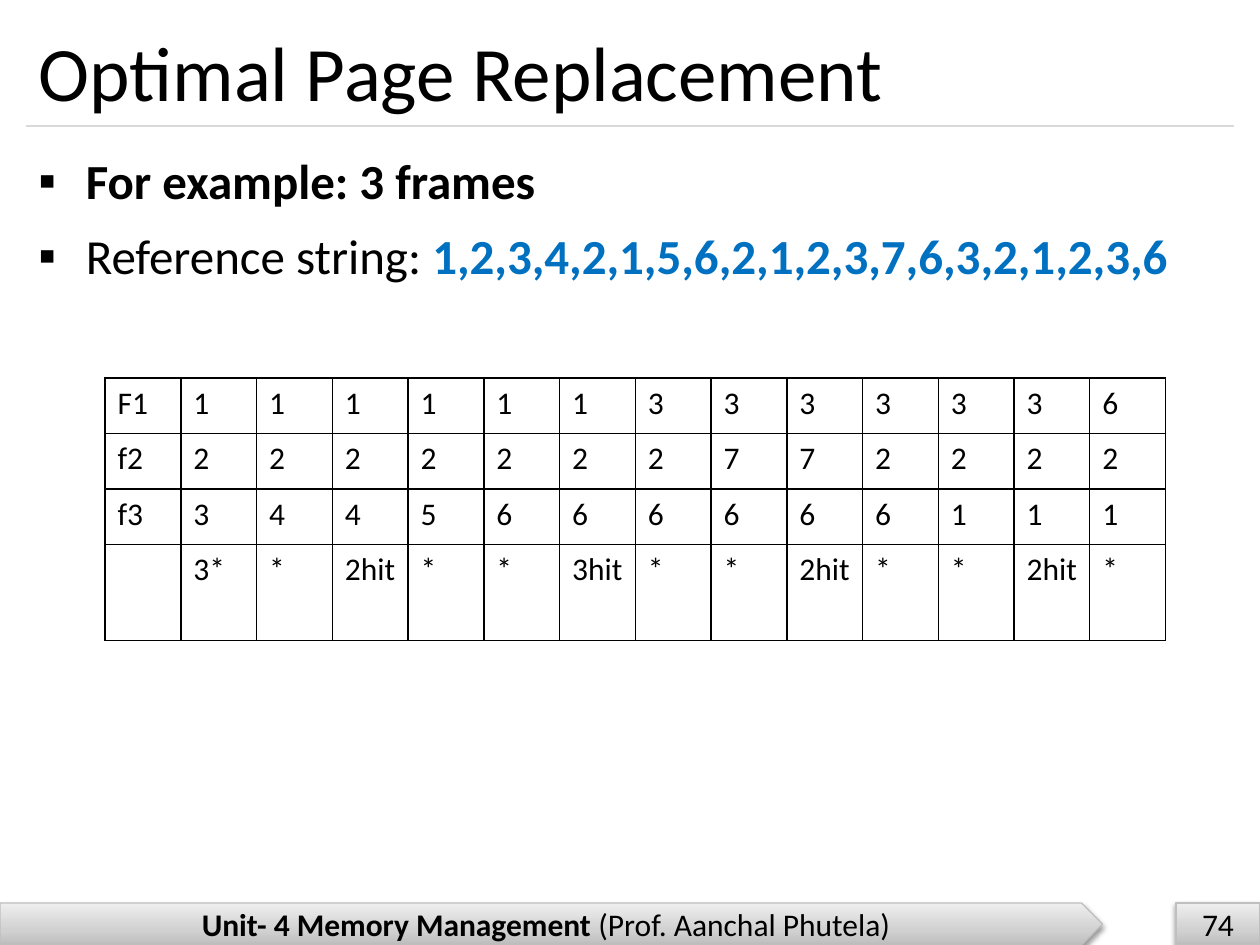
import pptx
import pptx.dml.color
import pptx.enum.shapes
import pptx.enum.text
import pptx.oxml.ns
import pptx.util
from lxml import etree

Pt = pptx.util.Pt
RGBColor = pptx.dml.color.RGBColor
SHAPE = pptx.enum.shapes.MSO_SHAPE
ANCHOR = pptx.enum.text.MSO_ANCHOR
ALIGN = pptx.enum.text.PP_ALIGN

BLACK = RGBColor(0x00, 0x00, 0x00)
BLUE = RGBColor(0x00, 0x70, 0xC0)
RULE_GRAY = RGBColor(0xD9, 0xD9, 0xD9)
EDGE_GRAY = RGBColor(0xBF, 0xBF, 0xBF)
BAR_STOPS = (
    (0, RGBColor(0xBD, 0xBD, 0xBD)),
    (35, RGBColor(0xD1, 0xD1, 0xD1)),
    (100, RGBColor(0xEE, 0xEE, 0xEE)),
)


def add_xml(parent, tag, **attributes):
    """Append a DrawingML element and return it."""
    child = etree.SubElement(parent, pptx.oxml.ns.qn("a:" + tag))
    for key, value in attributes.items():
        child.set(key, str(value))
    return child


class Deck:
    font_name = "Calibri"

    def __init__(self, width, height):
        self.presentation = pptx.Presentation()
        self.presentation.slide_width = Pt(width)
        self.presentation.slide_height = Pt(height)
        blank = self.presentation.slide_layouts[6]
        self.slide = self.presentation.slides.add_slide(blank)

    def add_runs(self, paragraph, runs, size):
        """Fill a paragraph with (text, bold, colour) runs."""
        paragraph.font.name = self.font_name
        paragraph.font.size = Pt(size)
        for text, bold, color in runs:
            run = paragraph.add_run()
            run.text = text
            run.font.bold = bold
            run.font.color.rgb = color

    def text(self, left, top, width, height, anchor=ANCHOR.TOP):
        box = self.slide.shapes.add_textbox(Pt(left), Pt(top), Pt(width), Pt(height))
        box.text_frame.word_wrap = True
        box.text_frame.vertical_anchor = anchor
        return box.text_frame

    def title(self, text, *place):
        frame = self.text(*place, anchor=ANCHOR.MIDDLE)
        self.add_runs(frame.paragraphs[0], [(text, False, BLACK)], 44)

    def bullets(self, items, *place):
        frame = self.text(*place)
        for index, runs in enumerate(items):
            paragraph = frame.add_paragraph() if index else frame.paragraphs[0]
            paragraph.line_spacing = 1.14
            if index:
                paragraph.space_before = Pt(4.5)
            properties = paragraph._p.get_or_add_pPr()
            properties.set("marL", str(Pt(27)))
            properties.set("indent", str(-Pt(27)))
            add_xml(properties, "buFont", typeface=self.font_name)
            add_xml(properties, "buChar", char="▪")
            self.add_runs(paragraph, runs, 28)

    def rule(self, left, right, y):
        line = self.slide.shapes.add_connector(
            pptx.enum.shapes.MSO_CONNECTOR.STRAIGHT, Pt(left), Pt(y), Pt(right), Pt(y))
        line.line.color.rgb = RULE_GRAY
        line.line.width = Pt(0.75)
        add_xml(line._element.spPr, "effectLst")

    def bar(self, kind, left, top, width, height, runs):
        bar = self.slide.shapes.add_shape(kind, Pt(left), Pt(top), Pt(width), Pt(height))
        # Gradient running from the bottom edge up
        bar.fill.gradient()
        bar.fill.gradient_angle = 90
        stops = bar._element.spPr.find(".//" + pptx.oxml.ns.qn("a:gsLst"))
        for stop in list(stops):
            stops.remove(stop)
        for percent, color in BAR_STOPS:
            add_xml(add_xml(stops, "gs", pos=percent * 1000), "srgbClr", val=color)
        bar.line.color.rgb = EDGE_GRAY
        bar.line.width = Pt(0.75)
        # Soft shadow straight below
        bar.shadow.inherit = False
        effects = bar._element.spPr.find(pptx.oxml.ns.qn("a:effectLst"))
        shadow = add_xml(effects, "outerShdw", blurRad=Pt(3.1), dist=Pt(1.6),
                         dir=90 * 60000, rotWithShape=0)
        add_xml(add_xml(shadow, "srgbClr", val=BLACK), "alpha", val=38000)
        bar.text_frame.vertical_anchor = ANCHOR.MIDDLE
        paragraph = bar.text_frame.paragraphs[0]
        paragraph.alignment = ALIGN.CENTER
        self.add_runs(paragraph, runs, 18)

    def table(self, rows, left, top, column_width, row_heights):
        columns = len(rows[0])
        grid = self.slide.shapes.add_table(
            len(rows), columns, Pt(left), Pt(top),
            Pt(column_width * columns), Pt(sum(row_heights))).table
        grid.first_row = False
        grid.horz_banding = False
        for column in grid.columns:
            column.width = Pt(column_width)
        for row, height, values in zip(grid.rows, row_heights, rows):
            row.height = Pt(height)
            for cell, value in zip(row.cells, values):
                self.cell(cell, value)

    def cell(self, cell, value):
        properties = cell._tc.get_or_add_tcPr()
        for side in ("lnL", "lnR", "lnT", "lnB"):
            border = add_xml(properties, side, w=Pt(1))
            add_xml(add_xml(border, "solidFill"), "srgbClr", val=BLACK)
        cell.fill.background()
        if value:
            self.add_runs(cell.text_frame.paragraphs[0], [(value, False, BLACK)], 18)


def main():
    deck = Deck(720, 540)

    # Footer and title rule
    footer_top, footer_height = 516, 24
    deck.bar(SHAPE.PENTAGON, 0, footer_top, 630, footer_height, [
        ("Unit- 4 Memory Management ", True, BLACK),
        ("(Prof. Aanchal Phutela)", False, BLACK),
    ])
    deck.bar(SHAPE.RECTANGLE, 672, footer_top, 48, footer_height, [("74", False, BLACK)])
    deck.rule(15, 705, 72)

    # Title and example
    deck.title("Optimal Page Replacement", 15, 9, 690, 63)
    deck.bullets([
        [("For example: 3 frames", True, BLACK)],
        [("Reference string: ", False, BLACK),
         ("1,2,3,4,2,1,5,6,2,1,2,3,7,6,3,2,1,2,3,6", True, BLUE)],
    ], 15, 78, 690, 420)

    # Frame contents after each step, with faults and hits below
    frames = [
        ["F1", *"1111113333336"],
        ["f2", *"2222222772222"],
        ["f3", *"3445666666111"],
        ["", "3*", "*", "2hit", "*", "*", "3hit", "*", "*", "2hit", "*", "*", "2hit", "*"],
    ]
    deck.table(frames, 60, 216, 43.3, [31.7, 31.7, 31.7, 54.9])

    deck.presentation.save("out.pptx")


if __name__ == "__main__":
    main()
